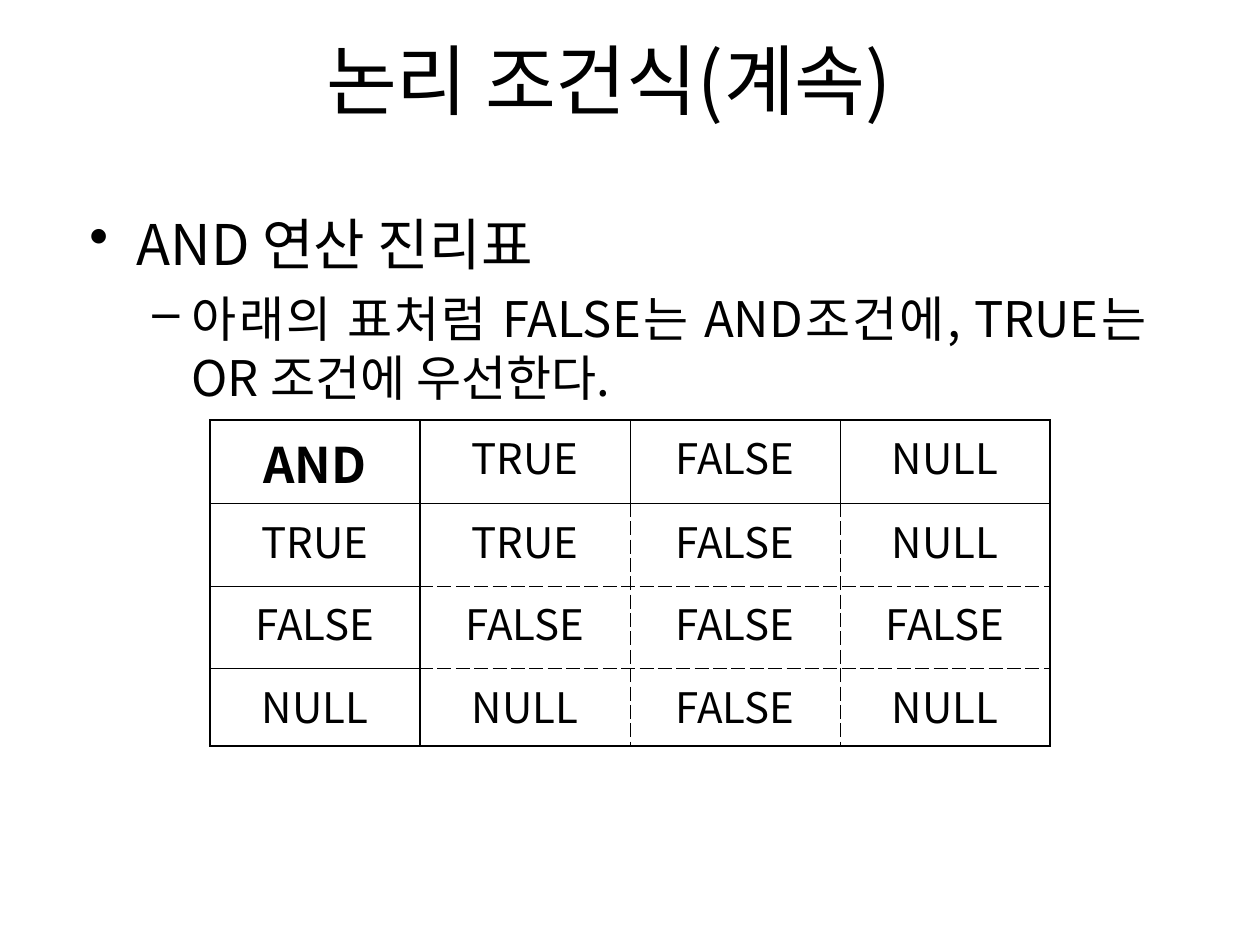
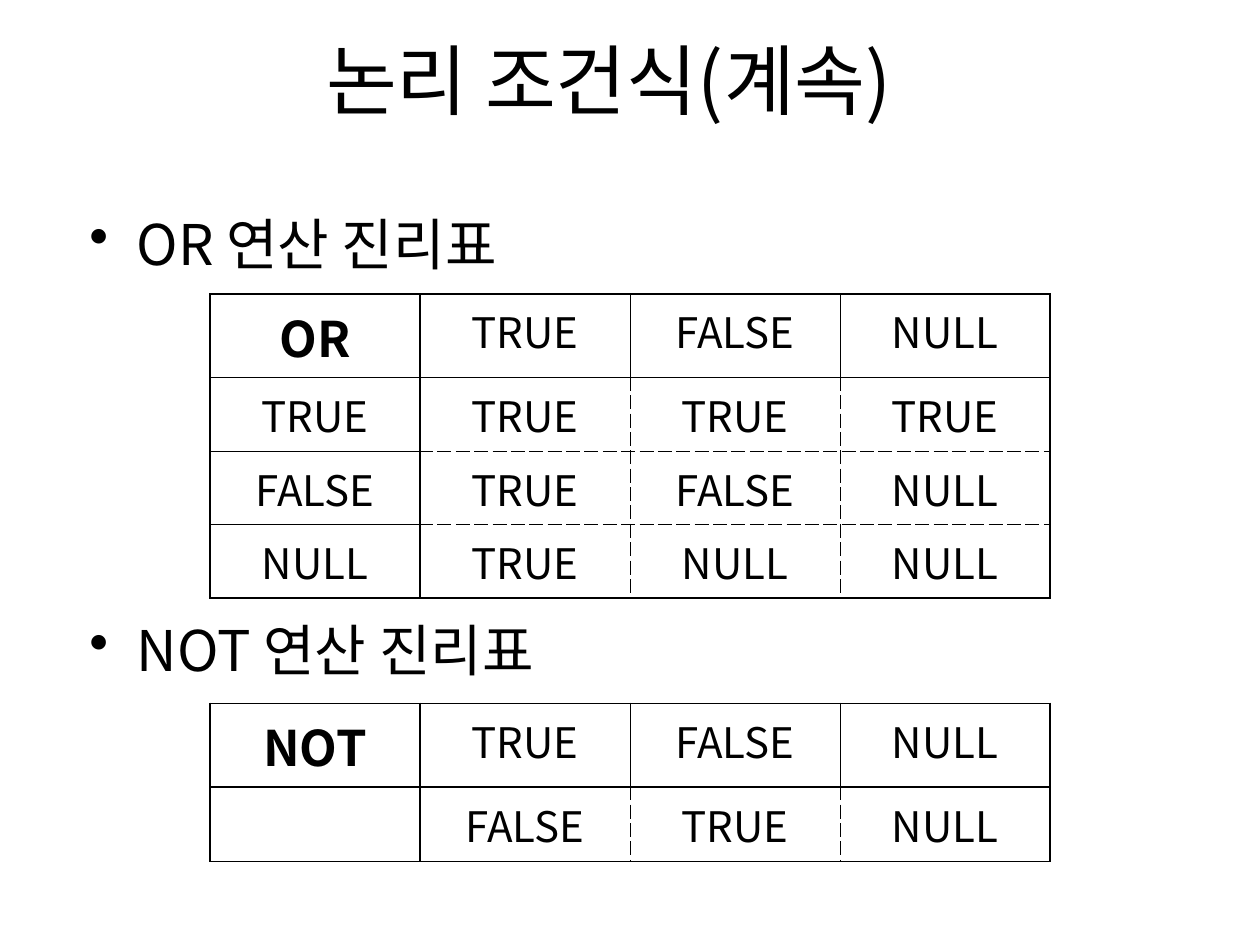
"""Build two slides with truth tables for the logical operators."""
import pptx
import pptx.dml.color
import pptx.enum.text
import pptx.oxml
import pptx.oxml.ns
import pptx.util

TITLE = "논리 조건식(계속)"
VALUES = ["TRUE", "FALSE", "NULL"]
SLIDES = [
    {
        "bullets": [
            ("AND 연산 진리표", "topic", 0),
            ("아래의 표처럼 FALSE는 AND조건에, TRUE는 OR 조건에 우선한다.", "detail", 7),
        ],
        "tables": [
            {"top": 240, "heights": [47, 47, 47, 44.5], "rows": [
                ["AND", *VALUES],
                ["TRUE", "TRUE", "FALSE", "NULL"],
                ["FALSE", "FALSE", "FALSE", "FALSE"],
                ["NULL", "NULL", "FALSE", "NULL"]]},
        ],
    },
    {
        "bullets": [("OR 연산 진리표", "topic", 0), ("NOT 연산 진리표", "topic", 194)],
        "tables": [
            {"top": 168, "heights": [47.5, 42, 42, 42], "rows": [
                ["OR", *VALUES],
                ["TRUE", "TRUE", "TRUE", "TRUE"],
                ["FALSE", "TRUE", "FALSE", "NULL"],
                ["NULL", "TRUE", "NULL", "NULL"]]},
            {"top": 402, "heights": [47.5, 42.5], "rows": [
                ["NOT", *VALUES],
                ["", "FALSE", "TRUE", "NULL"]]},
        ],
    },
]

FONT = "Noto Sans CJK KR"
BLACK = "000000"
TITLE_BOX = (42, 0, 612, 90)
BODY_BOX = (44, 108, 618, 366)
TABLE_LEFT, COLUMN_WIDTH = 120, 120
THICK, THIN = 1.08, 0.45
LINE_RATIO = 1.2
BULLETS = {
    "topic": {"mark": "•", "size": 32, "margin": 27, "indent": -27, "level": 0},
    "detail": {"mark": "–", "size": 28, "margin": 58.5, "indent": -22.5, "level": 1},
}
ALIGN = pptx.enum.text.PP_ALIGN
ANCHOR = pptx.enum.text.MSO_ANCHOR


def color(value):
    """Turn a hex string into a colour."""
    return pptx.dml.color.RGBColor.from_string(value)


def apply(target, formats):
    """Set every attribute named in formats on the target."""
    for name, value in formats.items():
        setattr(target, name, value)


def element(markup):
    """Parse drawing markup, adding its namespace to the first tag."""
    tag, rest = markup.split(" ", 1)
    return pptx.oxml.parse_xml(f"{tag} {pptx.oxml.ns.nsdecls('a')} {rest}")


def place(shape, box):
    """Move and size a shape in points."""
    apply(shape, dict(zip(("left", "top", "width", "height"), map(pptx.util.Pt, box))))


def write(paragraph, text, size, alignment, bold=False, space_before=0):
    """Fill a paragraph with one formatted run."""
    apply(paragraph, {"alignment": alignment, "space_before": pptx.util.Pt(space_before),
                      "line_spacing": pptx.util.Pt(size * LINE_RATIO)})
    run = paragraph.add_run()
    run.text = text
    apply(run.font, {"name": FONT, "size": pptx.util.Pt(size), "bold": bold})
    run.font.color.rgb = color(BLACK)
    run.font._element.append(element(f'<a:ea typeface="{FONT}"/>'))


def add_title(slide):
    """Place and format the slide title."""
    title = slide.shapes.title
    place(title, TITLE_BOX)
    title.text_frame.vertical_anchor = ANCHOR.MIDDLE
    write(title.text_frame.paragraphs[0], TITLE, 44, ALIGN.CENTER)


def add_bullets(slide, bullets):
    """Add the bulleted body text."""
    shape = slide.shapes.add_textbox(0, 0, 0, 0)
    place(shape, BODY_BOX)
    frame = shape.text_frame
    apply(frame, {"word_wrap": True, "margin_top": pptx.util.Pt(11.6)})
    for index, (text, kind, gap) in enumerate(bullets):
        style = BULLETS[kind]
        paragraph = frame.add_paragraph() if index else frame.paragraphs[0]
        paragraph.level = style["level"]
        properties = paragraph._p.get_or_add_pPr()
        properties.set("marL", str(pptx.util.Pt(style["margin"])))
        properties.set("indent", str(pptx.util.Pt(style["indent"])))
        properties.append(element(f'<a:buChar char="{style["mark"]}"/>'))
        write(paragraph, text, style["size"], ALIGN.JUSTIFY, space_before=gap)


def edge(boundary, last, crossing):
    """Give width and dash of the rule at a row or column boundary."""
    if boundary in (0, 1, last):
        return THICK, "solid"
    return THIN, "dash" if crossing else "solid"


def draw_borders(cell, row, column, row_count, column_count):
    """Draw the four rules around a cell."""
    edges = {
        "lnL": edge(column, column_count, row),
        "lnR": edge(column + 1, column_count, row),
        "lnT": edge(row, row_count, column),
        "lnB": edge(row + 1, row_count, column),
    }
    properties = cell._tc.get_or_add_tcPr()
    for index, (tag, (width, dash)) in enumerate(edges.items()):
        properties.insert(index, element(
            f'<a:{tag} w="{pptx.util.Pt(width)}"><a:solidFill><a:srgbClr val="{BLACK}"/>'
            f'</a:solidFill><a:prstDash val="{dash}"/></a:{tag}>'))


def add_truth_table(slide, top, heights, rows):
    """Add one truth table with its operator in the corner."""
    row_count, column_count = len(rows), len(rows[0])
    box = (TABLE_LEFT, top, COLUMN_WIDTH * column_count, sum(heights))
    table = slide.shapes.add_table(row_count, column_count, *map(pptx.util.Pt, box)).table
    apply(table, {"first_row": False, "horz_banding": False})
    for row, (height, values) in enumerate(zip(heights, rows)):
        table.rows[row].height = pptx.util.Pt(height)
        for column, value in enumerate(values):
            cell = table.cell(row, column)
            corner = row == column == 0
            cell.fill.background()
            draw_borders(cell, row, column, row_count, column_count)
            if value:
                cell.margin_top = pptx.util.Pt(10.6 if corner else 9.6)
                write(cell.text_frame.paragraphs[0], value, 28 if corner else 24,
                      ALIGN.CENTER, bold=corner)


def main():
    """Build and save the presentation."""
    presentation = pptx.Presentation()
    apply(presentation, {"slide_width": pptx.util.Pt(720), "slide_height": pptx.util.Pt(540)})
    for content in SLIDES:
        slide = presentation.slides.add_slide(presentation.slide_layouts[5])
        add_title(slide)
        add_bullets(slide, content["bullets"])
        for table in content["tables"]:
            add_truth_table(slide, **table)
    presentation.save("out.pptx")


if __name__ == "__main__":
    main()
